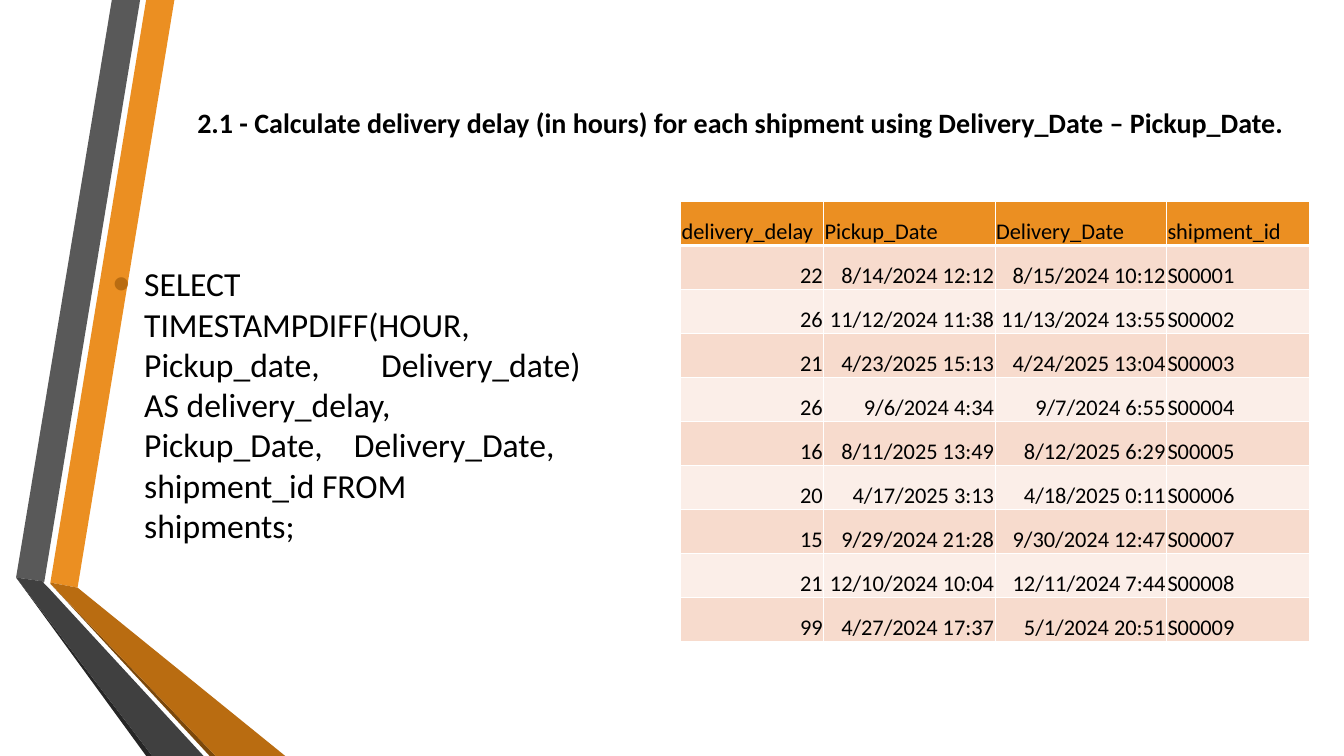
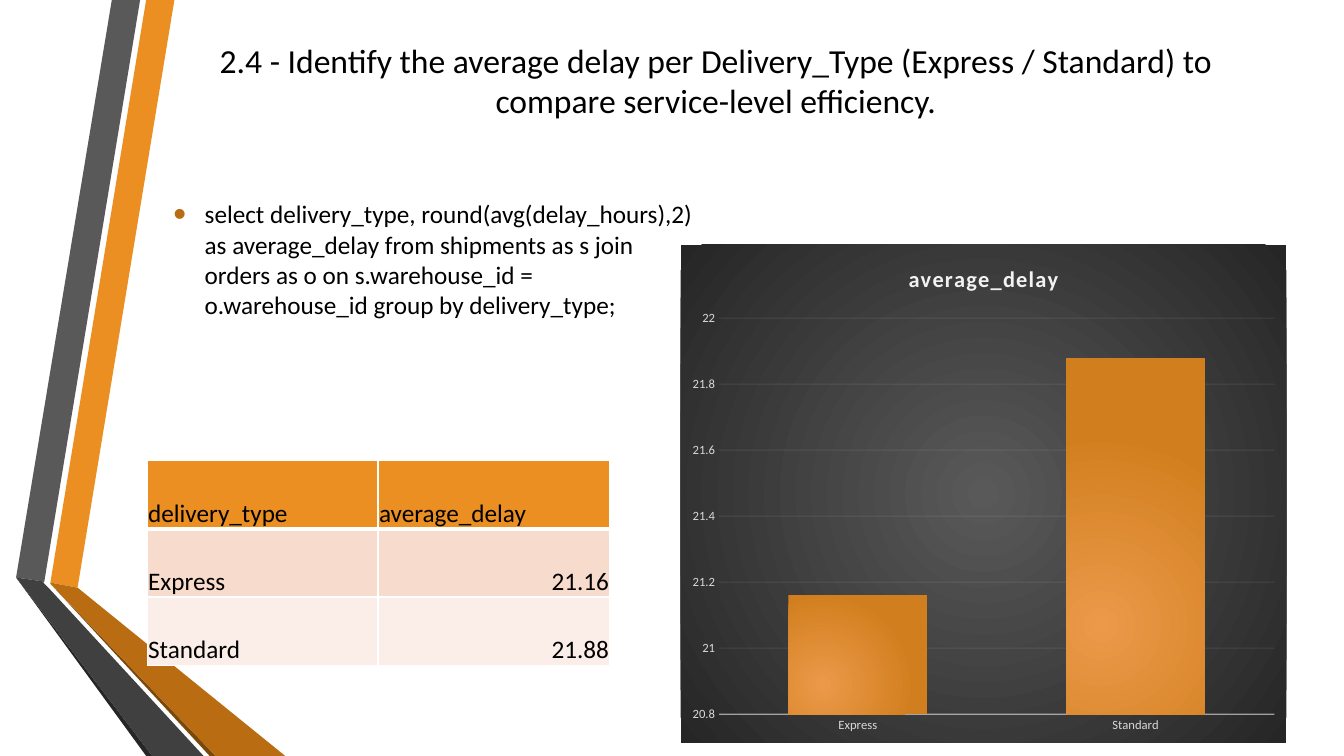
import dataclasses

import lxml.etree
import pptx
import pptx.chart.data
import pptx.dml.color
import pptx.enum.chart
import pptx.enum.text
import pptx.oxml
import pptx.oxml.ns
import pptx.util

Inches = pptx.util.Inches
Pt = pptx.util.Pt
Align = pptx.enum.text.PP_ALIGN
Anchor = pptx.enum.text.MSO_ANCHOR
NS = pptx.oxml.ns.nsdecls("a", "c")


@dataclasses.dataclass(frozen=True)
class Theme:
    font: str = "Calibri"
    ink: str = "000000"
    white: str = "FFFFFF"
    head: str = "EB8F22"
    bullet: str = "B96C11"
    rows: tuple = ("F7DBCD", "FBEEE8")
    pale: str = "F2F2F2"
    label: str = "D9D9D9"
    panel: tuple = ("595959", "262626")
    bar: tuple = ("EC994A", "D17F1E")
    small: int = 9
    cell: int = 16
    text: int = 18
    sub: int = 20
    large: int = 24


T = Theme()

# Ribbon outlines on the master: colour, points in inches
BANDS = (
    ("EB8F22", [(0.5, 5.78), (0.77, 5.83), (1.73, 0), (1.45, 0)]),
    ("595959", [(1.39, 0), (1.11, 0), (0.16, 5.73), (0.44, 5.77)]),
    ("262626", [(0.16, 5.73), (1.45, 7.5), (1.51, 7.5)]),
    ("7B480B", [(0.5, 5.79), (2.08, 7.5), (2.14, 7.5)]),
    ("B96C11", [(0.5, 5.79), (2.14, 7.5), (2.83, 7.5), (0.77, 5.83), (0.5, 5.78)]),
    ("404040", [(2.02, 7.5), (0.48, 5.83), (0.43, 5.78), (0.44, 5.77),
                (0.16, 5.73), (1.51, 7.5)]),
)

DELAYS = (
    ("delivery_delay", "Pickup_Date", "Delivery_Date", "shipment_id"),
    ("22", "8/14/2024 12:12", "8/15/2024 10:12", "S00001"),
    ("26", "11/12/2024 11:38", "11/13/2024 13:55", "S00002"),
    ("21", "4/23/2025 15:13", "4/24/2025 13:04", "S00003"),
    ("26", "9/6/2024 4:34", "9/7/2024 6:55", "S00004"),
    ("16", "8/11/2025 13:49", "8/12/2025 6:29", "S00005"),
    ("20", "4/17/2025 3:13", "4/18/2025 0:11", "S00006"),
    ("15", "9/29/2024 21:28", "9/30/2024 12:47", "S00007"),
    ("21", "12/10/2024 10:04", "12/11/2024 7:44", "S00008"),
    ("99", "4/27/2024 17:37", "5/1/2024 20:51", "S00009"),
)
MEANS = (("Express", 21.16), ("Standard", 21.88))


def rgb(code):
    return pptx.dml.color.RGBColor.from_string(code)


def style(font, size, color=T.ink, bold=False):
    font.name, font.size, font.bold = T.font, Pt(size), bold
    font.color.rgb = rgb(color)


def place(shape, box):
    shape.left, shape.top, shape.width, shape.height = map(Inches, box)


def add_bands(prs, slide):
    """Draw the ribbon once and move it to the master, behind all else."""
    group = slide.shapes.add_group_shape()
    for color, points in BANDS:
        start, *rest = [(Inches(x), Inches(y)) for x, y in points]
        pen = group.shapes.build_freeform(*start)
        pen.add_line_segments(rest, close=True)
        band = pen.convert_to_shape()
        band.shadow.inherit = False
        band.fill.solid()
        band.fill.fore_color.rgb = rgb(color)
        band.line.fill.background()
    for number, node in enumerate(group.element.iter("{*}cNvPr"), 100):
        node.set("id", str(number))
    prs.slide_master.shapes.element.insert(2, group.element)


def fill_frame(holder, box, text):
    place(holder, box)
    frame = holder.text_frame
    frame.text = text
    frame.word_wrap = True
    frame.auto_size = pptx.enum.text.MSO_AUTO_SIZE.NONE
    frame.vertical_anchor = Anchor.MIDDLE
    return frame.paragraphs[0]


def add_title(slide, box, text, size, bold=False):
    para = fill_frame(slide.shapes.title, box, text)
    para.alignment = Align.CENTER
    style(para.font, size, bold=bold)


def add_query(slide, box, text, size, tabs=()):
    para = fill_frame(slide.placeholders[1], box, text)
    para.space_before, para.space_after = Pt(0), Pt(6)
    props = para._p.get_or_add_pPr()
    props.set("marL", str(Inches(0.31)))
    props.set("indent", str(-Inches(0.31)))
    parts = [f'<a:buClr {NS}><a:srgbClr val="{T.bullet}"/></a:buClr>',
             f'<a:buSzPct {NS} val="145000"/>',
             f'<a:buFont {NS} typeface="Arial"/>',
             f'<a:buChar {NS} char="•"/>']
    if tabs:
        stops = "".join(f'<a:tab pos="{Inches(x)}" algn="l"/>' for x in tabs)
        parts.append(f"<a:tabLst {NS}>{stops}</a:tabLst>")
    for part in parts:
        props.append(pptx.oxml.parse_xml(part))
    style(para.font, size)


def rule_cell(cell, head):
    """White cell borders, thicker below the header."""
    props = cell._tc.get_or_add_tcPr()
    for side in "LRTB":
        width = Pt(3 if head and side == "B" else 1)
        props.append(pptx.oxml.parse_xml(
            f'<a:ln{side} {NS} w="{width}"><a:solidFill>'
            f'<a:srgbClr val="{T.white}"/></a:solidFill></a:ln{side}>'))


def add_grid(slide, box, rows, widths, size, right):
    table = slide.shapes.add_table(
        len(rows), len(widths), *map(Inches, box)).table
    for column, width in zip(table.columns, widths):
        column.width = Inches(width)
    for r, row in enumerate(rows):
        table.rows[r].height = Inches(box[3] / len(rows))
        for c, value in enumerate(row):
            cell = table.cell(r, c)
            cell.margin_left = cell.margin_right = cell.margin_top = Inches(0.01)
            cell.margin_bottom = 0
            cell.vertical_anchor = Anchor.BOTTOM
            rule_cell(cell, r == 0)
            cell.fill.solid()
            cell.fill.fore_color.rgb = rgb(T.rows[(r - 1) % 2] if r else T.head)
            cell.text = value
            para = cell.text_frame.paragraphs[0]
            para.alignment = Align.RIGHT if r and c in right else Align.LEFT
            style(para.font, size)


def glow(colors, rect):
    """A radial gradient, rect being left, top, right, bottom percent."""
    stops = "".join(f'<a:gs pos="{pos}"><a:srgbClr val="{color}"/></a:gs>'
                    for pos, color in zip((0, 100000), colors))
    sides = " ".join(f'{side}="{value * 1000}"' for side, value in zip("ltrb", rect))
    return (f'<a:gradFill {NS} rotWithShape="1"><a:gsLst>{stops}</a:gsLst>'
            f'<a:path path="circle"><a:fillToRect {sides}/></a:path></a:gradFill>')


def fade(root, where, percent):
    color = root.find(where + "//{*}srgbClr")
    lxml.etree.SubElement(color, pptx.oxml.ns.qn("a:alpha"), val=str(percent * 1000))


def add_bars(slide, box, name, pairs):
    data = pptx.chart.data.CategoryChartData()
    data.categories = [label for label, _ in pairs]
    data.add_series(name, [value for _, value in pairs])
    chart = slide.shapes.add_chart(
        pptx.enum.chart.XL_CHART_TYPE.COLUMN_CLUSTERED,
        *map(Inches, box), data).chart
    root = chart.element
    chart.has_legend = False
    style(chart.font, 10)

    # Title
    chart.has_title = True
    chart.chart_title.include_in_layout = False
    frame = chart.chart_title.text_frame
    frame.text = name
    style(frame.paragraphs[0].font, T.cell, T.pale, True)
    root.find(".//{*}title//{*}defRPr").set("spc", "100")

    # Bars
    plot = chart.plots[0]
    plot.gap_width, plot.overlap = 100, -24
    plot.vary_by_categories = False
    bars = plot.series[0]
    bars.invert_if_negative = False
    bars._element.get_or_add_spPr().append(
        pptx.oxml.parse_xml(glow(T.bar, (50, 100, 100, 50))))

    # Axes and grid
    values, groups = chart.value_axis, chart.category_axis
    for axis in (values, groups):
        axis.major_tick_mark = pptx.enum.chart.XL_TICK_MARK.NONE
        style(axis.tick_labels.font, T.small, T.label)
    values.minimum_scale, values.maximum_scale, values.major_unit = 20.8, 22, 0.2
    values.format.line.fill.background()
    for line, width in ((groups.format.line, 1),
                        (values.major_gridlines.format.line, 0.75)):
        line.width = Pt(width)
        line.color.rgb = rgb(T.pale)
    fade(root, ".//{*}catAx/{*}spPr", 54)
    fade(root, ".//{*}majorGridlines", 10)

    # Panel
    root.find("{*}chart").addnext(pptx.oxml.parse_xml(
        f"<c:spPr {NS}>{glow(T.panel, (50, 50, 50, 50))}"
        "<a:ln><a:noFill/></a:ln></c:spPr>"))


def show_delays(slide):
    add_title(slide, (1.62, 0.75, 11.45, 0.92),
              "2.1 - Calculate delivery delay (in hours) for each shipment "
              "using Delivery_Date – Pickup_Date.", T.sub, True)
    add_query(slide, (1.02, 1.96, 4.9, 4.1),
              "SELECT\vTIMESTAMPDIFF(HOUR,\vPickup_date,\t\tDelivery_date)\v"
              "AS delivery_delay,\vPickup_Date,\tDelivery_Date,\v"
              "shipment_id FROM\vshipments;", T.large, (2.39, 2.66))
    add_grid(slide, (6.75, 2, 6.24, 4.37), DELAYS,
             (1.42, 1.7, 1.7, 1.42), T.cell, (0, 1, 2))


def show_means(slide):
    add_title(slide, (1.62, 0.2, 10.96, 1.19),
              "2.4 - Identify the average delay per Delivery_Type "
              "(Express / Standard) to compare service-level efficiency.", T.large)
    add_query(slide, (1.62, 1.39, 5.35, 2.36),
              "select delivery_type, round(avg(delay_hours),2) as average_delay "
              "from shipments as s join orders as o on s.warehouse_id = "
              "o.warehouse_id group by delivery_type;", T.text)
    rows = [("delivery_type", "average_delay")]
    rows += [(label, str(value)) for label, value in MEANS]
    add_grid(slide, (1.46, 4.57, 4.59, 2.03), rows, (2.29, 2.3), T.text, (1,))
    add_bars(slide, (6.75, 2.43, 6.01, 4.94), "average_delay", MEANS)


def main():
    prs = pptx.Presentation()
    prs.slide_width, prs.slide_height = Inches(13.33), Inches(7.5)
    layout = prs.slide_layouts.get_by_name("Title and Content")
    first, second = [prs.slides.add_slide(layout) for _ in range(2)]
    add_bands(prs, first)
    show_delays(first)
    show_means(second)
    prs.save("out.pptx")


if __name__ == "__main__":
    main()
